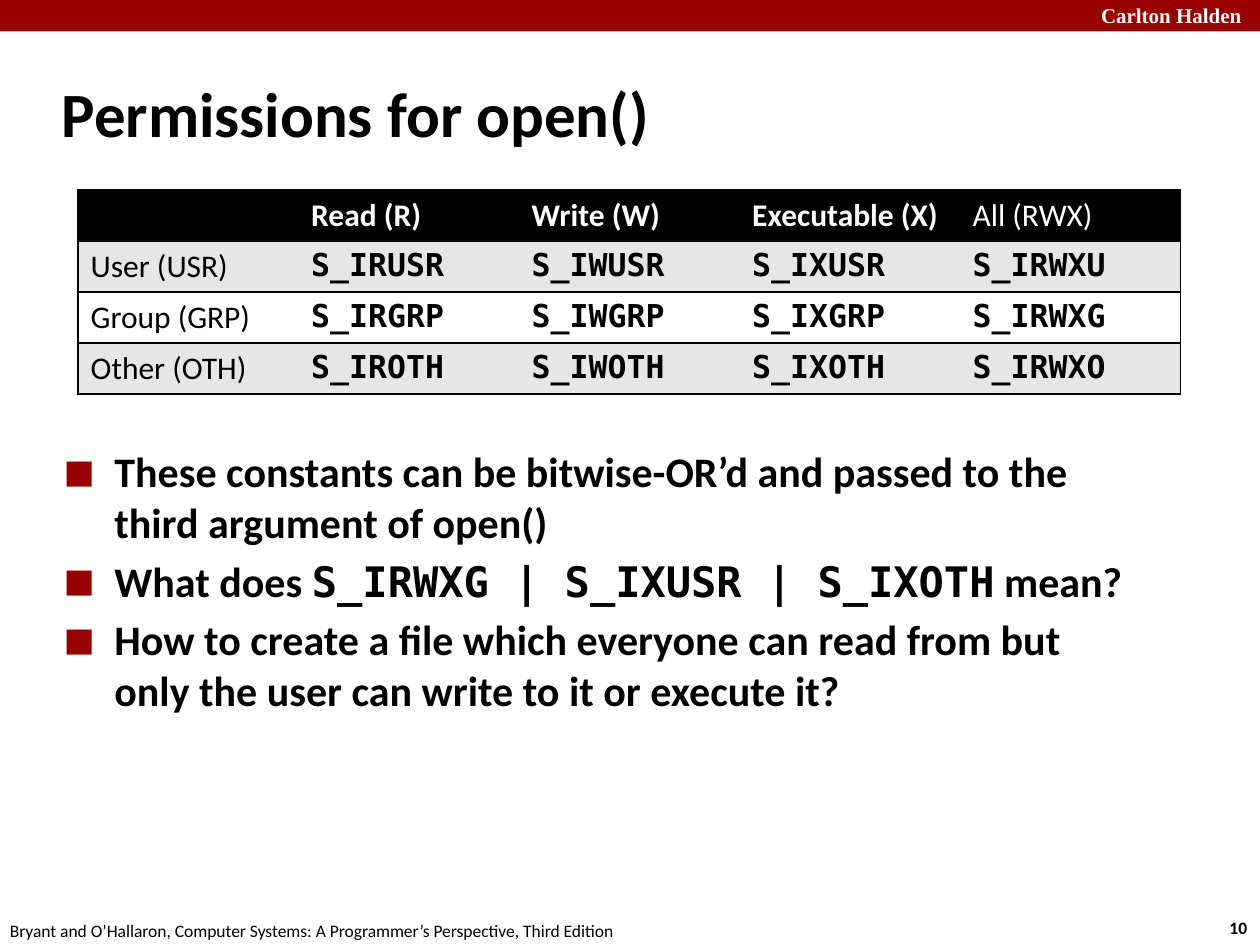
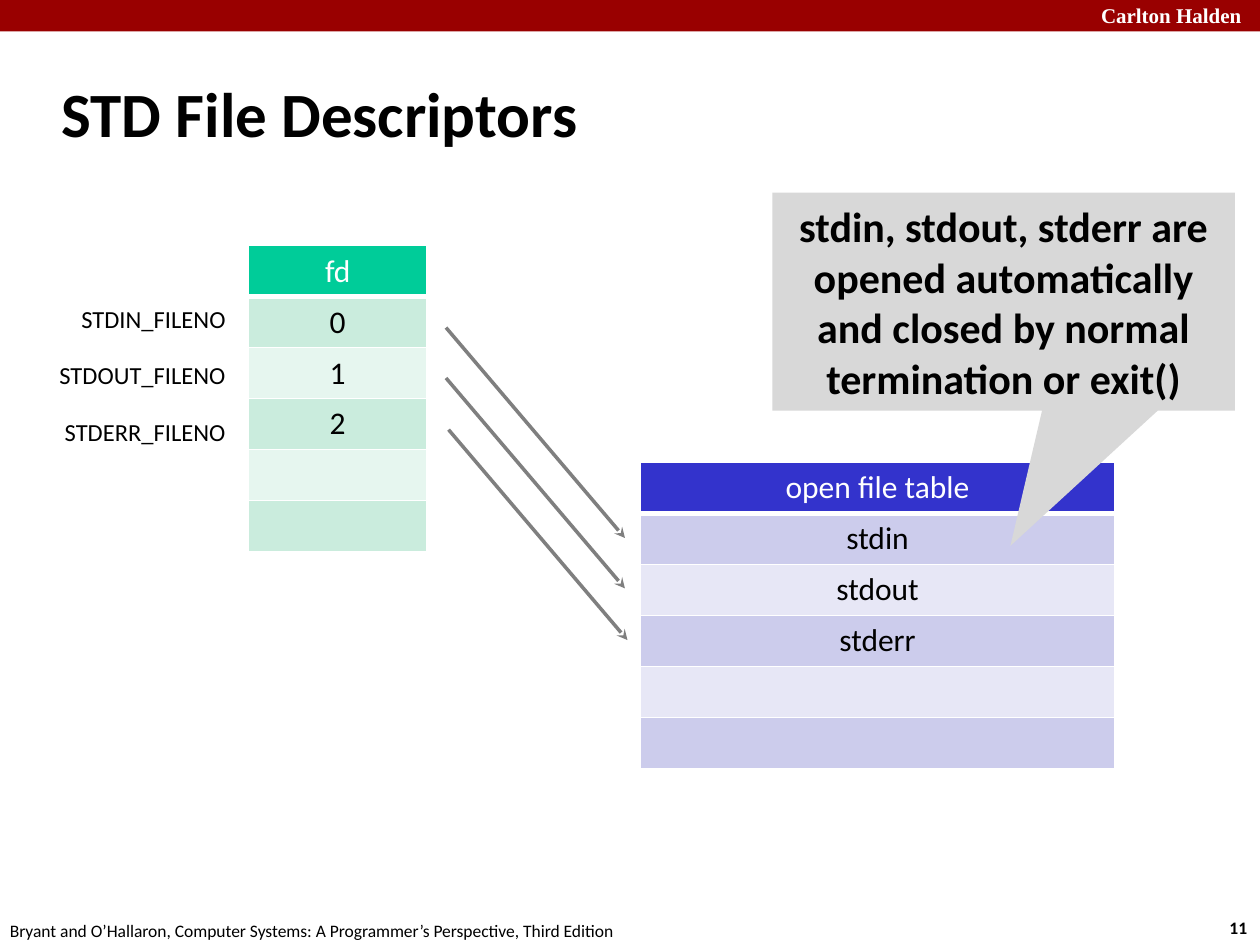
import pptx
import pptx.util
import pptx.dml.color
import pptx.enum.shapes
import pptx.enum.text
import pptx.oxml
import pptx.oxml.ns

Inches = pptx.util.Inches
Pt = pptx.util.Pt
MSO_SHAPE = pptx.enum.shapes.MSO_SHAPE
ALIGN = pptx.enum.text.PP_ALIGN
ANCHOR = pptx.enum.text.MSO_ANCHOR

SANS, MONO, SERIF = "Calibri", "DejaVu Sans Mono", "Times New Roman"
COLORS = {
    "band": "990000", "black": "000000", "white": "FFFFFF", "stripe": "E6E6E6",
    "fd": "00CC99", "fd_dark": "CAECDD", "fd_light": "E6F6EF",
    "open": "3333CC", "open_dark": "CCCCEC", "open_light": "E7E7F6",
    "arrow": "7F7F7F", "callout": "D8D8D8",
}
BRAND = "Carlton Halden"
FOOTER = "Bryant and O’Hallaron, Computer Systems: A Programmer’s Perspective, Third Edition"
ROW_H = 0.405

PERMISSIONS = [
    ["", "Read (R)", "Write (W)", "Executable (X)", "All (RWX)"],
    ["User (USR)", "S_IRUSR", "S_IWUSR", "S_IXUSR", "S_IRWXU"],
    ["Group (GRP)", "S_IRGRP", "S_IWGRP", "S_IXGRP", "S_IRWXG"],
    ["Other (OTH)", "S_IROTH", "S_IWOTH", "S_IXOTH", "S_IRWXO"],
]
QUESTIONS = [
    [("These constants can be bitwise-OR’d and passed to the third argument of open()", SANS)],
    [("What does ", SANS), ("S_IRWXG | S_IXUSR | S_IXOTH", MONO), (" mean?", SANS)],
    [("How to create a file which everyone can read from but only the user can write "
      "to it or execute it?", SANS)],
]
STACKS = [
    ("fd", 1.97, 1.95, 1.42, ["fd", "0", "1", "2", "", ""]),
    ("open", 5.08, 3.67, 3.77, ["open file table", "stdin", "stdout", "stderr", "", ""]),
]
ARROW_STARTS = [(3.54, 2.6), (3.54, 3), (3.56, 3.41)]
ARROW_RUN, ARROW_DROP = 1.42, 1.67
FILENOS = [("STDIN_FILENO", 1.5), ("STDOUT_FILENO", 1.63), ("STDERR_FILENO", 1.5)]
FILENO_RIGHT, FILENO_TOP, FILENO_STEP = 1.89, 2.31, 0.45
CALLOUT = "stdin, stdout, stderr are opened automatically and closed by normal termination or exit()"


def rgb(name):
    return pptx.dml.color.RGBColor.from_string(COLORS[name])


def write(p, text, size=18, font=SANS, color="black", bold=False, align=None):
    if align is not None:
        p.alignment = align
    r = p.add_run()
    r.text = text
    r.font.size = Pt(size)
    r.font.name = font
    r.font.bold = bold
    r.font.color.rgb = rgb(color)


def add_box(s, x, y, w, h, wrap=True, anchor=ANCHOR.TOP, pad=0.05):
    tf = s.shapes.add_textbox(Inches(x), Inches(y), Inches(w), Inches(h)).text_frame
    tf.word_wrap = wrap
    tf.vertical_anchor = anchor
    tf.margin_top = tf.margin_bottom = Inches(pad)
    return tf


def add_shape(s, kind, x, y, w, h, color):
    sp = s.shapes.add_shape(kind, Inches(x), Inches(y), Inches(w), Inches(h))
    sp.shadow.inherit = False
    sp.fill.solid()
    sp.fill.fore_color.rgb = rgb(color)
    sp.line.fill.background()
    return sp


def add_slide(prs, title, number, title_w):
    s = prs.slides.add_slide(prs.slide_layouts[6])
    add_shape(s, MSO_SHAPE.RECTANGLE, 0, 0, 10, 0.25, "band")
    brand = add_box(s, 8.64, -0.03, 1.43, 0.3, wrap=False)
    write(brand.paragraphs[0], BRAND, 12, SERIF, "white", True)
    page = add_box(s, 9.66, 7.23, 0.37, 0.27, wrap=False)
    write(page.paragraphs[0], str(number), 10, bold=True)
    footer = add_box(s, -0.02, 7.25, 5.08, 0.27, wrap=False)
    write(footer.paragraphs[0], FOOTER, 10)
    head = add_box(s, 0.39, 0.48, title_w, 0.83, anchor=ANCHOR.MIDDLE)
    write(head.paragraphs[0], title, 36, bold=True)
    return s


def element(xml):
    return pptx.oxml.parse_xml(xml.replace(" ", f" {pptx.oxml.ns.nsdecls('a')} ", 1))


def set_borders(cell, color, widths):
    tc_pr = cell._tc.get_or_add_tcPr()
    solid = f'<a:solidFill><a:srgbClr val="{COLORS[color]}"/></a:solidFill>'
    for i, side in enumerate("LRTB"):
        width = widths.get(side, 0)
        paint = solid if width else "<a:noFill/>"
        tc_pr.insert(i, element(f'<a:ln{side} w="{Pt(width)}">{paint}</a:ln{side}>'))


def add_table(s, x, y, col_w, rows, fills):
    n_rows, n_cols = len(rows), len(rows[0])
    table = s.shapes.add_table(n_rows, n_cols, Inches(x), Inches(y),
                               Inches(col_w * n_cols), Inches(ROW_H * n_rows)).table
    table.first_row = table.horz_banding = False
    for col in table.columns:
        col.width = Inches(col_w)
    for i, row in enumerate(table.rows):
        row.height = Inches(ROW_H)
        for cell in row.cells:
            cell.fill.solid()
            cell.fill.fore_color.rgb = rgb(fills[0] if i == 0 else fills[2 - i % 2])
    return table


def add_permissions(s):
    table = add_table(s, 0.62, 1.51, 1.75, PERMISSIONS, ["black", "stripe", "white"])
    last = len(PERMISSIONS[0]) - 1
    for i, row in enumerate(PERMISSIONS):
        for j, text in enumerate(row):
            cell = table.cell(i, j)
            edge = {0: {"L": 1}, last: {"R": 1}}.get(j, {})
            set_borders(cell, "black", {"T": 1, "B": 1, **edge})
            if not text:
                continue
            if i == 0:
                write(cell.text_frame.paragraphs[0], text, color="white", bold=j < last)
            else:
                write(cell.text_frame.paragraphs[0], text, font=MONO if j else SANS, bold=j > 0)


def add_questions(s):
    tf = add_box(s, 0.43, 3.49, 8.64, 3.43)
    for i, runs in enumerate(QUESTIONS):
        p = tf.add_paragraph() if i else tf.paragraphs[0]
        p.space_before = Pt(4.8 if i else 0)
        p_pr = p._p.get_or_add_pPr()
        p_pr.set("marL", str(Inches(0.38)))
        p_pr.set("indent", str(-Inches(0.38)))
        p_pr.append(element(f'<a:buClr ><a:srgbClr val="{COLORS["band"]}"/></a:buClr>'))
        p_pr.append(element(f'<a:buFont typeface="{MONO}"/>'))
        p_pr.append(element('<a:buChar char="■"/>'))
        for text, font in runs:
            write(p, text, 24, font, bold=True)


def add_stack(s, name, x, y, w, labels):
    fills = [name, f"{name}_dark", f"{name}_light"]
    table = add_table(s, x, y, w, [[label] for label in labels], fills)
    for i, label in enumerate(labels):
        cell = table.cell(i, 0)
        set_borders(cell, "white", {"L": 1, "R": 1, "T": 3 if i == 1 else 1, "B": 1 if i else 3})
        if label:
            write(cell.text_frame.paragraphs[0], label, color="black" if i else "white",
                  align=ALIGN.CENTER)


def add_arrow(s, x, y):
    line = s.shapes.add_connector(pptx.enum.shapes.MSO_CONNECTOR.STRAIGHT, Inches(x), Inches(y),
                                  Inches(x + ARROW_RUN), Inches(y + ARROW_DROP))
    line.line.color.rgb = rgb("arrow")
    line.line.width = Pt(2)
    line.line._get_or_add_ln().append(element('<a:tailEnd type="stealth"/>'))
    line._element.spPr.append(element("<a:effectLst />"))


def add_callout(s):
    sp = add_shape(s, MSO_SHAPE.RECTANGULAR_CALLOUT, 6.13, 1.53, 3.67, 1.73, "callout")
    sp.adjustments[0], sp.adjustments[1] = 0.015, 1.12
    tf = sp.text_frame
    tf.word_wrap = True
    tf.vertical_anchor = ANCHOR.MIDDLE
    write(tf.paragraphs[0], CALLOUT, 24, bold=True, align=ALIGN.CENTER)


def main():
    prs = pptx.Presentation()
    prs.slide_width, prs.slide_height = Inches(10), Inches(7.5)

    s = add_slide(prs, "Permissions for open()", 10, 9.16)
    add_questions(s)
    add_permissions(s)

    s = add_slide(prs, "STD File Descriptors", 11, 8.3)
    for stack in STACKS:
        add_stack(s, *stack)
    for start in ARROW_STARTS:
        add_arrow(s, *start)
    add_callout(s)
    for i, (label, w) in enumerate(FILENOS):
        tf = add_box(s, FILENO_RIGHT - w, FILENO_TOP + i * FILENO_STEP, w, FILENO_STEP, pad=0.1)
        write(tf.paragraphs[0], label, 14, align=ALIGN.RIGHT)

    prs.save("out.pptx")


if __name__ == "__main__":
    main()
